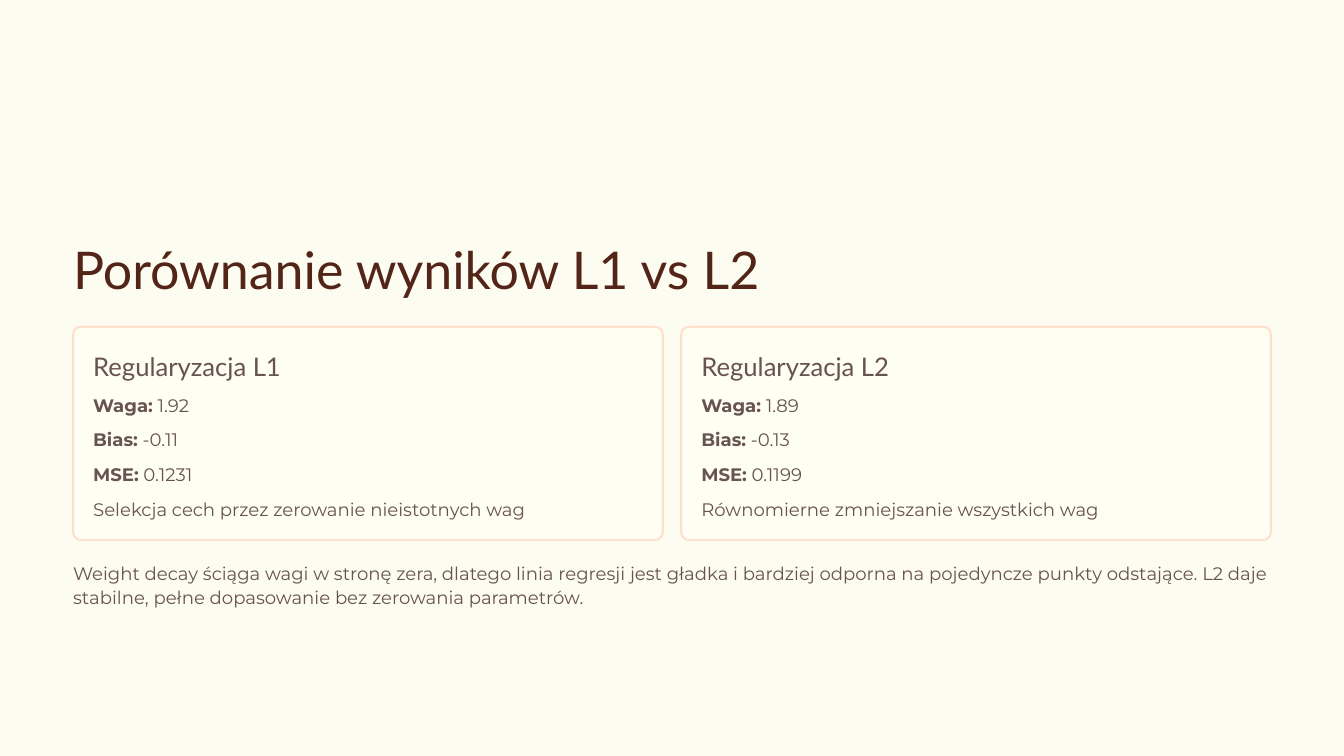
from lxml import etree
from pptx import Presentation
from pptx import util as u
from pptx.dml import color
from pptx.enum import shapes, text
from pptx.oxml import ns


def rgb(value):
    return color.RGBColor.from_string(value)


class ComparisonSlide:
    heading_font = "Lato"
    body_font = "Montserrat"
    background = "FDFCF0"
    title_color = "532418"
    body_color = "67534F"
    card_fill = "FFFFF4"
    card_border = "FFE0CC"

    def __init__(self, presentation):
        self.slide = presentation.slides.add_slide(presentation.slide_layouts[6])
        fill = self.slide.background.fill
        fill.solid()
        fill.fore_color.rgb = rgb(self.background)

    def label(self, parts, left, top, width, height, size, spacing, font, ink, wrap=False):
        box = self.slide.shapes.add_textbox(
            u.Inches(left), u.Inches(top), u.Inches(width), u.Inches(height))
        frame = box.text_frame
        frame.word_wrap = wrap
        frame.auto_size = text.MSO_AUTO_SIZE.NONE
        frame.margin_left = frame.margin_right = 0
        frame.margin_top = frame.margin_bottom = 0
        paragraph = frame.paragraphs[0]
        paragraph.line_spacing = u.Pt(spacing)
        for wording, bold in parts:
            run = paragraph.add_run()
            run.text = wording
            run.font.name = font
            run.font.size = u.Pt(size)
            run.font.bold = bold
            run.font.color.rgb = rgb(ink)

    def title(self, wording, left, top, width, height):
        self.label([(wording, False)], left, top, width, height,
                   44.5, 58, self.heading_font, self.title_color)

    def card_heading(self, wording, left, top):
        self.label([(wording, False)], left, top, 3.12, 0.41,
                   22, 29, self.heading_font, self.body_color)

    def body(self, parts, left, top, width, height, wrap=False):
        self.label(parts, left, top, width, height,
                   15.5, 20, self.body_font, self.body_color, wrap)

    def panel(self, left, top, width, height):
        panel = self.slide.shapes.add_shape(
            shapes.MSO_SHAPE.ROUNDED_RECTANGLE,
            u.Inches(left), u.Inches(top), u.Inches(width), u.Inches(height))
        panel.adjustments[0] = 0.036
        panel.shadow.inherit = False
        panel.fill.solid()
        panel.fill.fore_color.rgb = rgb(self.card_fill)
        fill_color = panel.element.spPr.find(ns.qn("a:solidFill"))[0]
        etree.SubElement(fill_color, ns.qn("a:alpha"), val="95000")
        panel.line.color.rgb = rgb(self.card_border)
        panel.line.width = u.Pt(1.8)

    def card(self, left, heading, metrics, summary):
        top, inset = 3.89, 0.24
        self.panel(left, top, 7.02, 2.54)
        self.card_heading(heading, left + inset, top + 0.25)
        rows = [[(name, True), (" " + value, False)] for name, value in metrics]
        rows.append([(summary, False)])
        for index, parts in enumerate(rows):
            self.body(parts, left + inset, 4.67 + index * 1.24 / 3, 6.54, 0.28)


def main():
    presentation = Presentation()
    presentation.slide_width = u.Inches(16)
    presentation.slide_height = u.Inches(9)
    margin, card_step = 0.87, 7.24
    comparison = ComparisonSlide(presentation)
    comparison.title("Porównanie wyników L1 vs L2", margin, 2.76, 8.07, 0.81)

    metric_names = ("Waga:", "Bias:", "MSE:")
    regularizations = [
        ("Regularyzacja L1", ("1.92", "-0.11", "0.1231"),
         "Selekcja cech przez zerowanie nieistotnych wag"),
        ("Regularyzacja L2", ("1.89", "-0.13", "0.1199"),
         "Równomierne zmniejszanie wszystkich wag"),
    ]
    for index, (heading, values, summary) in enumerate(regularizations):
        comparison.card(margin + index * card_step, heading,
                        zip(metric_names, values), summary)

    conclusion = (
        "Weight decay ściąga wagi w stronę zera, dlatego linia regresji jest gładka "
        "i bardziej odporna na pojedyncze punkty odstające. L2 daje stabilne, "
        "pełne dopasowanie bez zerowania parametrów.")
    comparison.body([(conclusion, False)], margin, 6.68, 14.26, 0.56, wrap=True)
    presentation.save("out.pptx")


if __name__ == "__main__":
    main()
